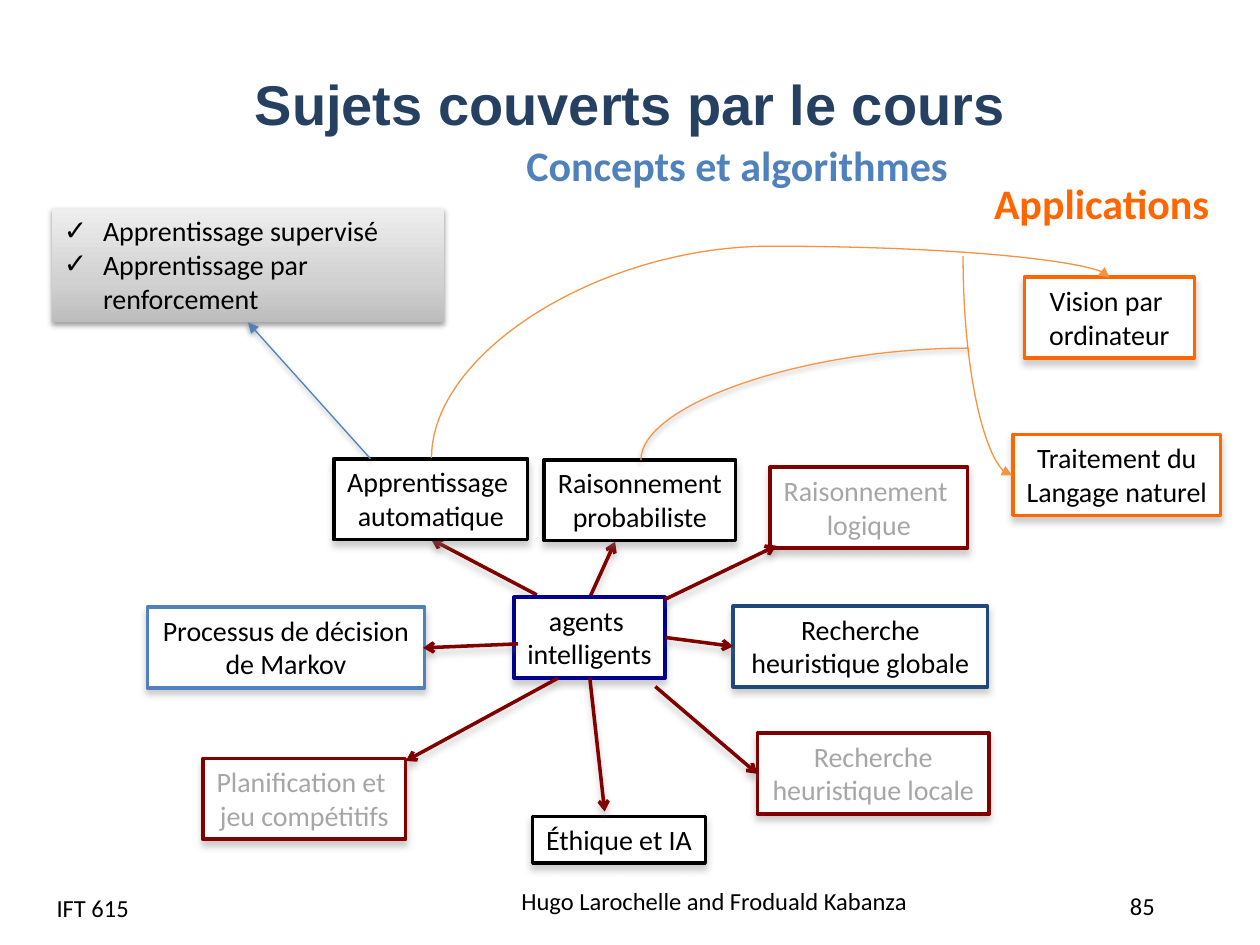
import pptx
import pptx.util
import pptx.dml.color
import pptx.enum.shapes
import pptx.enum.text
import pptx.oxml
import pptx.oxml.ns

Cm, Pt = pptx.util.Cm, pptx.util.Pt
ALIGN = pptx.enum.text.PP_ALIGN
ANCHOR = pptx.enum.text.MSO_ANCHOR
KIND = pptx.enum.shapes.MSO_CONNECTOR
RECT = pptx.enum.shapes.MSO_SHAPE.RECTANGLE

HUES = {
    "black": "000000", "white": "FFFFFF", "gray": "A6A6A6", "title": "254061",
    "maroon": "800000", "navy": "000090", "blue": "4F81BD", "deep": "1F497D",
    "orange": "FF6600", "curve": "F69240", "amber": "F79646", "shade": "808080",
}
# Shadow styles: colour, opacity %, blur pt, distance pt
SOFT = ("shade", 40, 4, 3)
THIN = ("black", 38, 3.1, 1.6)
TALL = 1.63


def rgb(hue):
    return pptx.dml.color.RGBColor.from_string(HUES[hue])


def node(tag, inner="", **attrs):
    text = "".join(f' {key}="{val}"' for key, val in attrs.items())
    space = pptx.oxml.ns.nsdecls("a")
    return pptx.oxml.parse_xml(f"<a:{tag} {space}{text}>{inner}</a:{tag}>")


class Page:
    """Holds the style and the current slide."""

    font = "Calibri"
    size = 16

    def __init__(self, deck):
        self.slide = deck.slides.add_slide(deck.slide_layouts[6])
        self.shapes = self.slide.shapes

    def words(self, frame, lines, hue, size=None, bold=False, font=None,
              align=ALIGN.LEFT, wrap=True, anchor=ANCHOR.TOP, mark=None):
        frame.word_wrap = wrap
        frame.vertical_anchor = anchor
        for i, line in enumerate(lines):
            para = frame.paragraphs[0] if i == 0 else frame.add_paragraph()
            para.alignment = align
            if mark:
                props = para._p.get_or_add_pPr()
                indent = Cm(0.79)
                props.set("marL", str(indent))
                props.set("indent", str(-indent))
                props.append(node("buFont", typeface="Arial"))
                props.append(node("buChar", char=mark))
            run = para.add_run()
            run.text = line
            run.font.name = font or self.font
            run.font.size = Pt(size or self.size)
            run.font.bold = bold
            run.font.color.rgb = rgb(hue)

    def shade(self, props, style):
        """Replace the theme effect by the given shadow, or by none."""
        for old in props.findall(pptx.oxml.ns.qn("a:effectLst")):
            props.remove(old)
        inner = ""
        if style:
            hue, alpha, blur, dist = style
            inner = (f'<a:outerShdw blurRad="{Pt(blur)}" dist="{Pt(dist)}" '
                     f'dir="5400000" rotWithShape="0"><a:srgbClr val="{HUES[hue]}">'
                     f'<a:alpha val="{alpha * 1000}"/></a:srgbClr></a:outerShdw>')
        props.append(node("effectLst", inner))

    def label(self, x, y, w, h, text, hue, **style):
        box = self.shapes.add_textbox(Cm(x), Cm(y), Cm(w), Cm(h))
        self.words(box.text_frame, [text], hue, **style)

    def box(self, x, y, w, lines, edge, hue="black", wrap=False, h=TALL):
        shape = self.shapes.add_shape(RECT, Cm(x), Cm(y), Cm(w), Cm(h))
        shape.shadow.inherit = False
        shape.fill.solid()
        shape.fill.fore_color.rgb = rgb("white")
        shape.line.color.rgb = rgb(edge)
        shape.line.width = Pt(2)
        self.shade(shape._element.spPr, SOFT)
        self.words(shape.text_frame, lines, hue, align=ALIGN.CENTER, wrap=wrap)

    def panel(self, x, y, w, h, lines, stops):
        shape = self.shapes.add_shape(RECT, Cm(x), Cm(y), Cm(w), Cm(h))
        shape.shadow.inherit = False
        shape.line.fill.background()
        marks = "".join(f'<a:gs pos="{pos * 1000}"><a:srgbClr val="{val}"/></a:gs>'
                        for pos, val in stops)
        grad = node("gradFill", f'<a:gsLst>{marks}</a:gsLst>'
                                '<a:lin ang="16200000" scaled="0"/>')
        props = shape._element.spPr
        props.insert(props.index(props.prstGeom) + 1, grad)
        self.shade(props, THIN)
        self.words(shape.text_frame, lines, "black", mark="✓")

    def line(self, ends, hue, width, head=None, glow=None, kind=KIND.STRAIGHT):
        link = self.shapes.add_connector(kind, *(Cm(v) for v in ends))
        link.line.color.rgb = rgb(hue)
        link.line.width = Pt(width)
        if head:
            link.line._get_or_add_ln().append(node("tailEnd", type=head))
        self.shade(link._element.spPr, glow)
        return link

    def curve(self, ends, turn, hue, bend=None, head=None, glow=None):
        """A curved link, turned by the given degrees about its centre."""
        link = self.line(ends, hue, 0.75, head, glow, KIND.CURVE)
        props = link._element.spPr
        props.xfrm.set("rot", str(turn * 60000))
        shape = props.find(pptx.oxml.ns.qn("a:prstGeom"))
        shape.set("prst", "curvedConnector3" if bend else "curvedConnector2")
        if bend:
            for old in list(shape):
                shape.remove(old)
            shape.append(node("avLst", f'<a:gd name="adj1" fmla="val {bend}"/>'))


def main():
    deck = pptx.Presentation()
    deck.slide_width, deck.slide_height = Cm(25.4), Cm(19.05)
    page = Page(deck)

    # Title and footer
    mid = ANCHOR.MIDDLE
    page.label(0.64, 1.09, 24.13, 1.96, "Sujets couverts par le cours", "title",
               size=32, bold=True, font="Arial", align=ALIGN.CENTER, anchor=mid)
    page.label(10.26, 17.65, 8.76, 1.02, "Hugo Larochelle and Froduald Kabanza",
               "black", size=14, anchor=mid)
    page.label(22, 17.93, 2.06, 0.66, "85", "black", size=14,
               align=ALIGN.CENTER, anchor=mid)
    page.label(0.89, 17.78, 5.92, 1.02, "IFT 615", "black", size=14, anchor=mid)

    # Spokes that start behind the hub
    for ends in [(11.89, 12.04, 12.4, 10.92), (10.82, 11.99, 8.69, 10.87)]:
        page.line(ends, "maroon", 2, "arrow", SOFT)

    # Hub and topics
    page.box(10.36, 12.04, 3.05, ["agents ", "intelligents"], "navy")
    page.box(15.52, 9.42, 3.99, ["Raisonnement ", "logique"], "maroon", "gray")
    page.box(6.73, 9.25, 3.91, ["Apprentissage ", "automatique"], "black")
    page.box(2.97, 12.24, 5.59, ["Processus de décision ", "de Markov"], "blue",
             wrap=True)
    page.box(4.09, 15.29, 4.09, ["Planification et ", "jeu compétitifs"],
             "maroon", "gray")
    page.box(15.27, 14.78, 4.67, ["Recherche heuristique locale"], "maroon",
             "gray", wrap=True)
    page.box(14.78, 12.22, 5.13, ["Recherche heuristique globale"], "deep",
             wrap=True)
    page.box(10.74, 16.46, 3.48, ["Éthique et IA"], "black", h=0.94)
    page.box(10.97, 9.27, 3.86, ["Raisonnement", "probabiliste"], "black")

    # Other spokes
    for ends in [
        (13.41, 12.85, 14.78, 13.03), (13.21, 13.84, 15.27, 15.6),
        (11.89, 13.67, 12.19, 16.36), (10.44, 12.98, 8.53, 13.06),
        (11.25, 13.67, 8.18, 15.34), (13.39, 12.09, 15.65, 11),
    ]:
        page.line(ends, "maroon", 2, "arrow", SOFT)

    # Group headings
    page.label(19.79, 3.45, 4.9, 1.27, "Applications", "orange", size=24,
               bold=True, wrap=False)
    page.label(10.36, 2.69, 9.09, 1.27, "Concepts et algorithmes", "blue",
               size=24, bold=True, wrap=False)

    # Applications and the curves that reach them
    page.box(20.65, 5.59, 3.43, ["Vision par ", "ordinateur"], "orange", wrap=True)
    page.curve((17.35, 14.25, 13.72, 0.58), 90, "curve", 117500, "triangle")
    page.box(20.42, 8.76, 4.19, ["Traitement du", "Langage naturel"], "orange")
    page.curve((22.12, 6.88, 17.7, 7.87), 270, "curve", head="triangle")
    page.curve((17.35, 11.45, 15.09, 4.85), 90, "amber", glow=THIN)

    # Learning details
    page.panel(1.04, 4.19, 7.92, 2.31,
               ["Apprentissage supervisé", "Apprentissage par renforcement"],
               [(0, "BDBDBD"), (35, "D1D1D1"), (100, "EEEEEE")])
    page.line((7.47, 9.25, 5, 6.5), "blue", 0.75, "triangle", THIN)

    deck.save("out.pptx")


if __name__ == "__main__":
    main()
